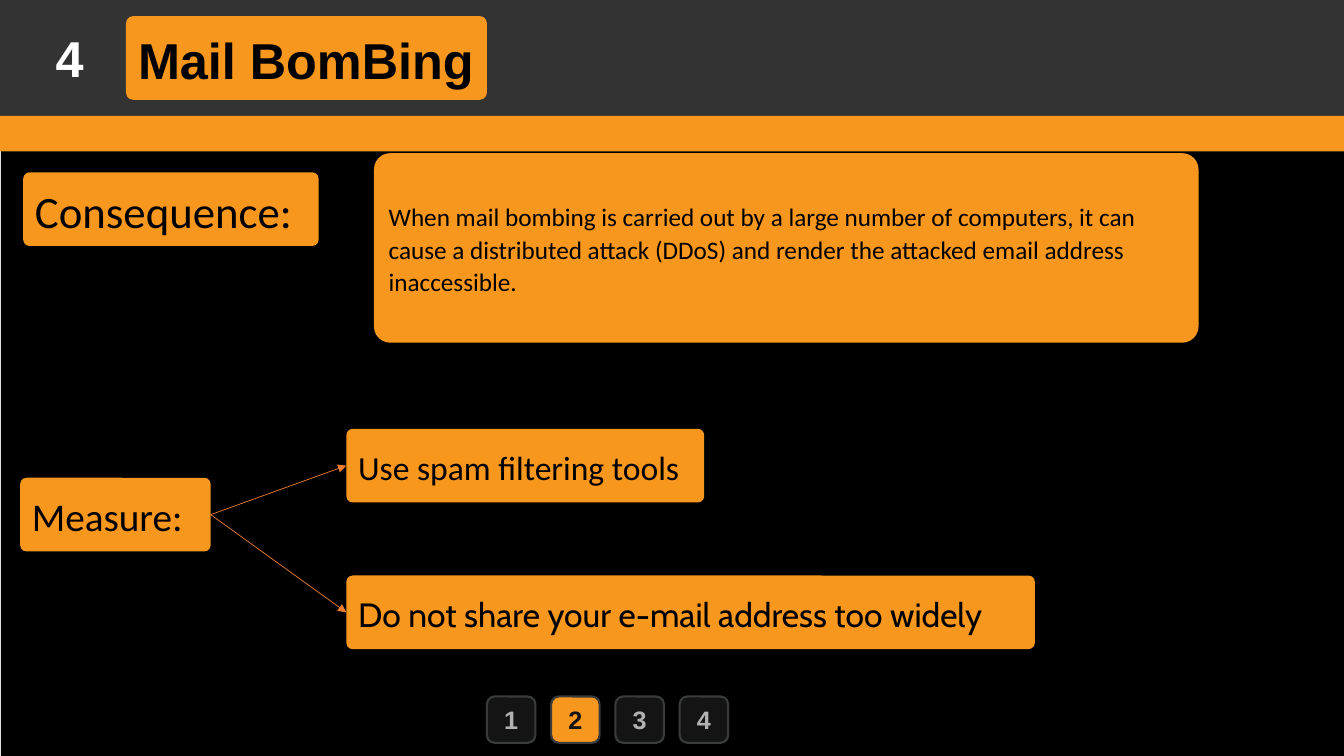
from dataclasses import dataclass

from lxml import etree
from pptx import Presentation
from pptx.dml.color import RGBColor
from pptx.enum.shapes import MSO_CONNECTOR, MSO_SHAPE
from pptx.enum.text import MSO_ANCHOR, MSO_AUTO_SIZE, PP_ALIGN
from pptx.oxml.ns import qn
from pptx.util import Pt

RECTANGLE, ROUNDED = MSO_SHAPE.RECTANGLE, MSO_SHAPE.ROUNDED_RECTANGLE
STRAIGHT = MSO_CONNECTOR.STRAIGHT
LEFT, CENTER = PP_ALIGN.LEFT, PP_ALIGN.CENTER
TOP, MIDDLE = MSO_ANCHOR.TOP, MSO_ANCHOR.MIDDLE
FIT_SHAPE = MSO_AUTO_SIZE.SHAPE_TO_FIT_TEXT
LEFT_SITE, RIGHT_SITE = 1, 3


@dataclass(frozen=True)
class Theme:
    black: str = "000000"
    white: str = "FFFFFF"
    header: str = "333333"
    accent: str = "F7971D"
    arrow: str = "ED7D31"
    button: str = "141414"
    button_edge: str = "3A3C3C"
    button_text: str = "B1B1B1"
    heading_font: str = "Arial"
    body_font: str = "Calibri"
    accent_font: str = "Cabin"
    title_size: int = 36
    consequence_size: int = 32
    measure_size: int = 28
    option_size: int = 24
    small_size: int = 18


class SlideBuilder:
    def __init__(self, page, theme):
        self.page = page
        self.theme = theme

    def add_text(self, box, text, size, font, color, bold=False, align=LEFT,
                 anchor=MIDDLE, **spacing):
        frame = box.text_frame
        frame.word_wrap = True
        frame.vertical_anchor = anchor
        para = frame.paragraphs[0]
        for name, value in {"alignment": align, **spacing}.items():
            setattr(para, name, value)
        span = para.add_run()
        span.text = text
        for name, value in {"size": Pt(size), "name": font, "bold": bold}.items():
            setattr(span.font, name, value)
        span.font.color.rgb = RGBColor.from_string(color)

    def panel(self, kind, bounds, fill, corner=None, edge=None):
        box = self.page.shapes.add_shape(kind, *map(Pt, bounds))
        box.shadow.inherit = False
        box.fill.solid()
        box.fill.fore_color.rgb = RGBColor.from_string(fill)
        if edge:
            box.line.color.rgb = RGBColor.from_string(edge)
            box.line.width = Pt(1.5)
        else:
            box.line.fill.background()
        if corner is not None:
            box.adjustments[0] = corner
        return box

    def label(self, bounds):
        return self.panel(ROUNDED, bounds, self.theme.accent, corner=0.086)

    def card(self, text, bounds, size, font=None):
        box = self.label(bounds)
        self.add_text(box, text, size, font or self.theme.body_font, self.theme.black,
                      line_spacing=1.07, space_after=Pt(8))
        return box

    def heading(self, text, bounds, color):
        box = self.page.shapes.add_textbox(*map(Pt, bounds))
        self.add_text(box, text, self.theme.title_size, self.theme.heading_font, color,
                      bold=True, align=CENTER, anchor=TOP)
        box.text_frame.auto_size = FIT_SHAPE

    def button(self, number, bounds, active):
        theme = self.theme
        fill, color = ((theme.accent, theme.button) if active
                       else (theme.button, theme.button_text))
        box = self.panel(ROUNDED, bounds, fill, edge=theme.button_edge)
        self.add_text(box, str(number), theme.small_size, theme.heading_font, color,
                      bold=True, align=CENTER)

    def arrow(self, source, target):
        connector = self.page.shapes.add_connector(STRAIGHT, 0, 0, 0, 0)
        connector.begin_connect(source, RIGHT_SITE)
        connector.end_connect(target, LEFT_SITE)
        connector.line.color.rgb = RGBColor.from_string(self.theme.arrow)
        connector.line.width = Pt(0.5)
        properties = connector._element.spPr
        etree.SubElement(properties.find(qn("a:ln")), qn("a:tailEnd"), type="triangle")
        etree.SubElement(properties, qn("a:effectLst"))


def main():
    deck = Presentation()
    deck.slide_width, deck.slide_height = Pt(960), Pt(540)
    theme = Theme()
    slide = SlideBuilder(deck.slides.add_slide(deck.slide_layouts[6]), theme)

    slide.panel(RECTANGLE, (0.7, 0, 960, 540), theme.black)
    slide.panel(RECTANGLE, (0, 0, 960, 85), theme.header)
    slide.heading("4", (-11.5, 15.8, 122.4, 51), theme.white)
    slide.label((90, 11.5, 257.8, 59.8))
    slide.heading("Mail BomBing", (74.2, 17.3, 288.7, 51), theme.black)
    slide.panel(RECTANGLE, (-1.4, 82.8, 963.4, 25.4), theme.accent)

    for number in range(1, 5):
        left = 347.8 + 45.9 * (number - 1)
        slide.button(number, (left, 497.5, 34.6, 33.1), active=number == 2)

    measure = slide.card("Measure:", (14.4, 341.3, 136.1, 52.6), theme.measure_size)
    options = [
        ("Use spam filtering tools", 306.3, 255.6, theme.body_font),
        ("Do not share your e-mail address too widely", 411.1, 491.8, theme.accent_font),
    ]
    for text, top, width, font in options:
        option = slide.card(text, (247.4, top, width, 52.6), theme.option_size, font)
        slide.arrow(measure, option)

    slide.card("Consequence:", (16.6, 123.1, 211, 52.6), theme.consequence_size)
    slide.card("When mail bombing is carried out by a large number of computers, it can "
               "cause a distributed attack (DDoS) and render the attacked email address "
               "inaccessible.", (267.1, 109.4, 589, 135.4), theme.small_size)
    deck.save("out.pptx")


if __name__ == "__main__":
    main()
